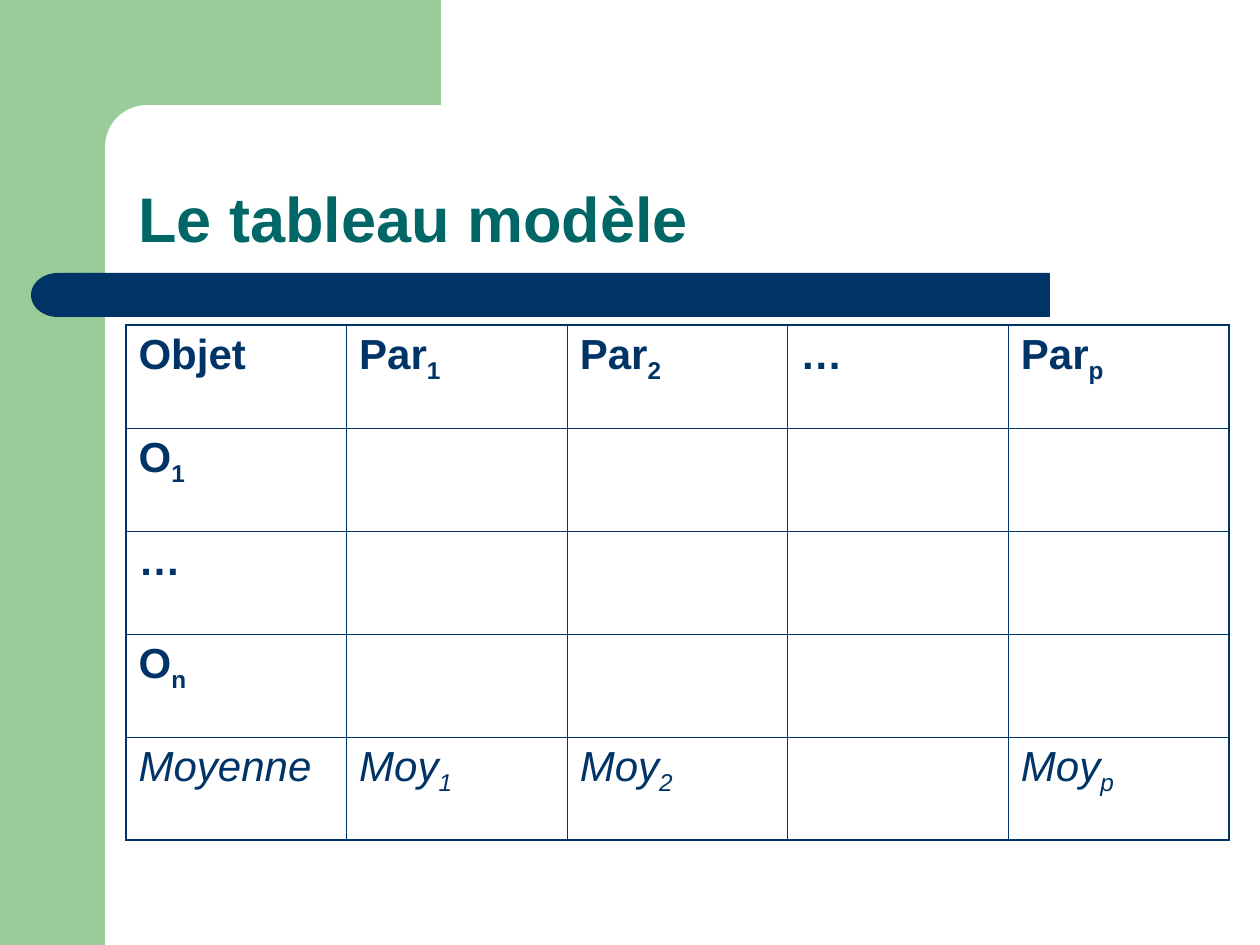
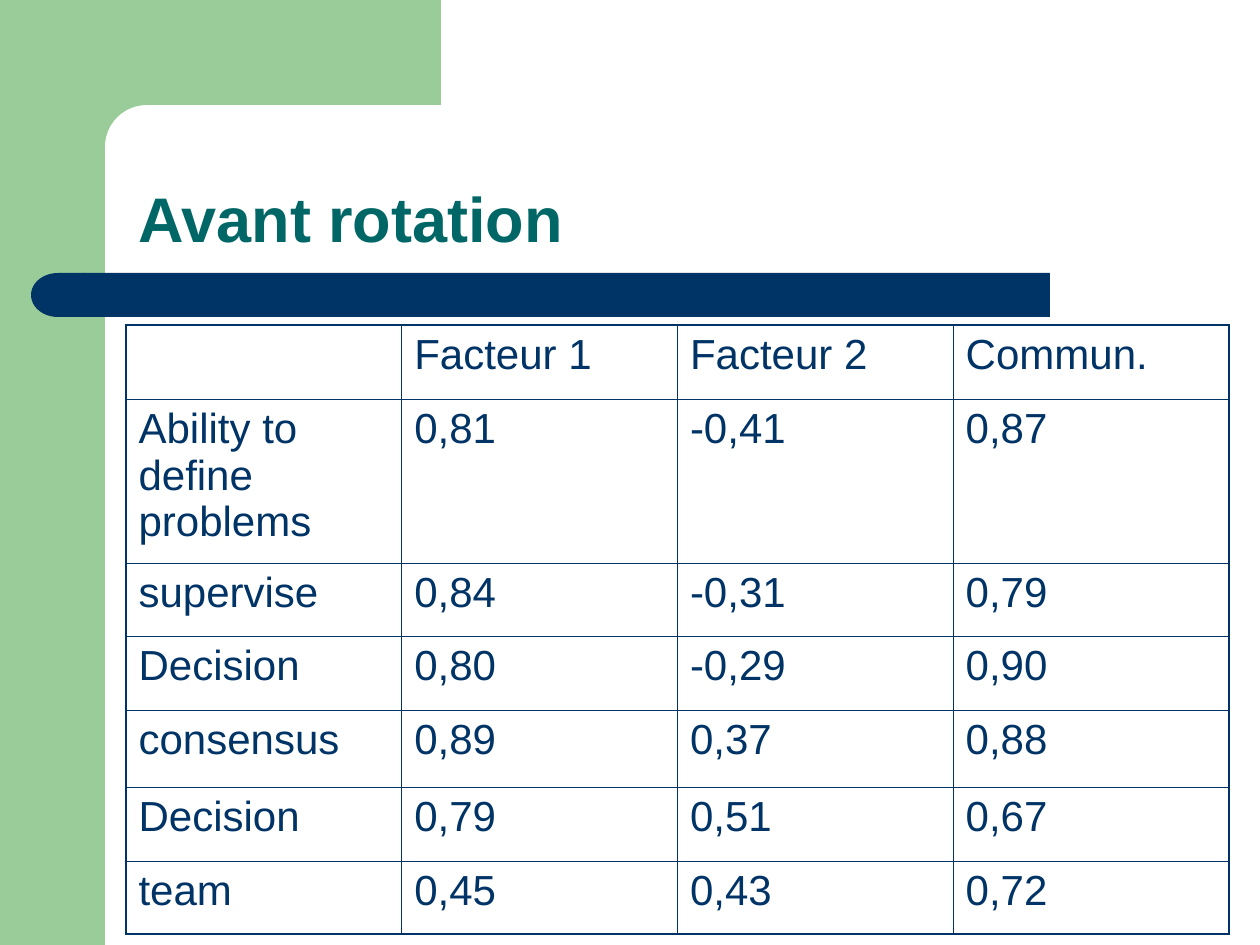
from lxml import etree
from pptx import Presentation
from pptx.dml.color import RGBColor
from pptx.enum.shapes import MSO_SHAPE
from pptx.enum.text import MSO_ANCHOR
from pptx.oxml.ns import qn
from pptx.util import Emu, Pt

RECT = MSO_SHAPE.RECTANGLE
ROUND_RECT = MSO_SHAPE.ROUNDED_RECTANGLE
DELAY = MSO_SHAPE.FLOWCHART_DELAY
BOTTOM = MSO_ANCHOR.BOTTOM

COLORS = {"green": "99CC99", "white": "FFFFFF", "navy": "003366", "teal": "006666"}
FONT = "Arial"
TITLE_SIZE, CELL_SIZE = 36, 24
INNER_LINE, OUTER_LINE = 0.45, 1.08  # points

SLIDE_WIDTH, SLIDE_HEIGHT = 1260, 945
TITLE_BOX = (126, 105, 1103, 157)
TABLE_LEFT, TABLE_TOP, TABLE_WIDTH = 126, 325, 1103

# preset, box, colour, rotation
DECOR = [
    (RECT, (0, 0, 105, SLIDE_HEIGHT), "green", 0),
    (RECT, (94, 0, 347, 147), "green", 0),
    (ROUND_RECT, (105, 105, 703, 84), "white", 0),
    (RECT, (84, 273, 966, 44), "navy", 0),
    (DELAY, (31, 273, 54, 44), "navy", 180),
]

# An underscore in a cell starts a subscript.
SLIDES = [
    {
        "title": "Le tableau modèle",
        "rows": [
            ["Objet", "Par_1", "Par_2", "…", "Par_p"],
            ["O_1", "", "", "", ""],
            ["…", "", "", "", ""],
            ["O_n", "", "", "", ""],
            ["Moyenne", "Moy_1", "Moy_2", "", "Moy_p"],
        ],
        "heights": [103] * 5,
        "bold_rows": range(4),
        "italic_rows": [4],
    },
    {
        "title": "Avant rotation",
        "rows": [
            ["", "Facteur 1", "Facteur 2", "Commun."],
            ["Ability to define problems", "0,81", "-0,41", "0,87"],
            ["supervise", "0,84", "-0,31", "0,79"],
            ["Decision", "0,80", "-0,29", "0,90"],
            ["consensus", "0,89", "0,37", "0,88"],
            ["Decision", "0,79", "0,51", "0,67"],
            ["team", "0,45", "0,43", "0,72"],
        ],
        "heights": [74, 164, 73, 74, 77, 74, 73],
        "bold_rows": [],
        "italic_rows": [],
    },
]


def px(length):
    return Emu(round(length * 914400 / 126))


def color(name):
    return RGBColor.from_string(COLORS[name])


def style(paragraph, size, color_name, bold=False, italic=False):
    font = paragraph.font
    font.name, font.size = FONT, Pt(size)
    font.bold, font.italic = bold, italic
    font.color.rgb = color(color_name)


def add_decor(slide):
    for preset, box, fill, rotation in DECOR:
        shape = slide.shapes.add_shape(preset, *map(px, box))
        shape.shadow.inherit = False
        shape.fill.solid()
        shape.fill.fore_color.rgb = color(fill)
        shape.line.fill.background()
        shape.rotation = rotation
        if preset == ROUND_RECT:
            shape.adjustments[0] = 0.5


def add_title(slide, title):
    frame = slide.shapes.add_textbox(*map(px, TITLE_BOX)).text_frame
    frame.word_wrap = True
    frame.vertical_anchor = BOTTOM
    paragraph = frame.paragraphs[0]
    paragraph.text = title
    paragraph.line_spacing = 0.9
    style(paragraph, TITLE_SIZE, "teal", bold=True)


def set_borders(cell, outer_sides):
    properties = cell._tc.get_or_add_tcPr()
    for side in "LRTB":
        width = OUTER_LINE if side in outer_sides else INNER_LINE
        line = etree.SubElement(properties, qn(f"a:ln{side}"), w=str(Pt(width)))
        fill = etree.SubElement(line, qn("a:solidFill"))
        etree.SubElement(fill, qn("a:srgbClr"), val=COLORS["navy"])


def fill_cell(cell, text, bold, italic):
    cell.fill.background()
    paragraph = cell.text_frame.paragraphs[0]
    base, _, subscript = text.partition("_")
    if base:
        paragraph.add_run().text = base
    if subscript:
        run = paragraph.add_run()
        run.text = subscript
        run._r.get_or_add_rPr().set("baseline", "-25000")
    style(paragraph, CELL_SIZE, "navy", bold, italic)


def add_grid(slide, rows, heights, bold_rows, italic_rows):
    last_row, last_column = len(rows) - 1, len(rows[0]) - 1
    box = (TABLE_LEFT, TABLE_TOP, TABLE_WIDTH, sum(heights))
    table = slide.shapes.add_table(len(rows), len(rows[0]), *map(px, box)).table
    table.first_row = table.horz_banding = False
    for row, height in zip(table.rows, heights):
        row.height = px(height)
    for r, texts in enumerate(rows):
        for c, text in enumerate(texts):
            edges = {"L": c == 0, "R": c == last_column, "T": r == 0, "B": r == last_row}
            cell = table.cell(r, c)
            set_borders(cell, [side for side, is_outer in edges.items() if is_outer])
            fill_cell(cell, text, r in bold_rows, r in italic_rows)


def main():
    deck = Presentation()
    deck.slide_width, deck.slide_height = px(SLIDE_WIDTH), px(SLIDE_HEIGHT)
    blank = deck.slide_layouts[6]
    for content in SLIDES:
        slide = deck.slides.add_slide(blank)
        add_decor(slide)
        add_title(slide, content["title"])
        add_grid(slide, content["rows"], content["heights"],
                 content["bold_rows"], content["italic_rows"])
    deck.save("out.pptx")


if __name__ == "__main__":
    main()
